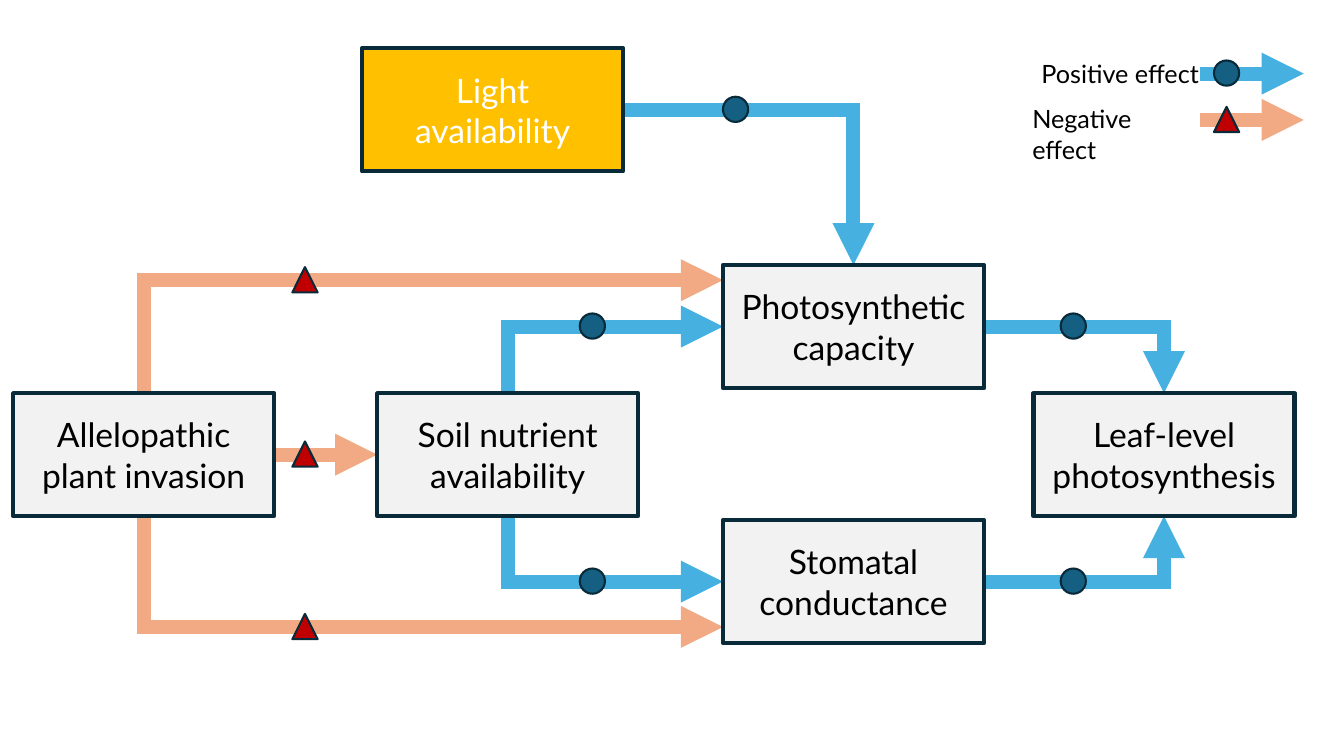
from dataclasses import dataclass
from lxml.etree import SubElement
from pptx import Presentation
from pptx.dml.color import RGBColor
from pptx.enum.shapes import MSO_CONNECTOR, MSO_SHAPE
from pptx.enum.text import MSO_ANCHOR, PP_ALIGN
from pptx.oxml.ns import qn
from pptx.util import Inches, Pt

TOP, LEFT, BOTTOM, RIGHT = range(4)


@dataclass
class Theme:
    """Colours, font and sizes of the diagram."""
    font: str = "Lato"
    ink: str = "000000"
    white: str = "FFFFFF"
    edge: str = "092A39"
    panel: str = "F2F2F2"
    sun: str = "FFC000"
    label: int = 24
    legend: int = 18
    arrow: int = 10
    border: float = 3
    rim: float = 1.5


@dataclass
class Effect:
    """Arrow colour, marker shape and marker fill of one effect."""
    line: str
    mark: MSO_SHAPE
    fill: str


GOOD = Effect("46B1E1", MSO_SHAPE.OVAL, "156082")
BAD = Effect("F2AA84", MSO_SHAPE.ISOSCELES_TRIANGLE, "C00000")


class Flow:
    """Draws the parts of a path diagram on one slide."""

    def __init__(self, slide, theme):
        """Keep the slide and its style."""
        self.slide, self.theme = slide, theme
        self.shapes = slide.shapes

    def shape(self, kind, x, y, wide, high, fill, rim):
        """Add a filled and outlined shape."""
        item = self.shapes.add_shape(kind, Inches(x), Inches(y), Inches(wide), Inches(high))
        item.shadow.inherit = False
        item.fill.solid()
        item.fill.fore_color.rgb = RGBColor.from_string(fill)
        item.line.color.rgb = RGBColor.from_string(self.theme.edge)
        item.line.width = Pt(rim)
        return item

    def words(self, frame, lines, size, tint, align):
        """Fill a text frame with one run per paragraph."""
        frame.word_wrap = True
        for i, line in enumerate(lines):
            para = frame.add_paragraph() if i else frame.paragraphs[0]
            para.alignment = align
            run = para.add_run()
            run.text = line
            run.font.name, run.font.size = self.theme.font, Pt(size)
            run.font.color.rgb = RGBColor.from_string(tint)

    def box(self, x, y, *lines, fill=None, tint=None):
        """Add a labelled box."""
        look = self.theme
        item = self.shape(MSO_SHAPE.RECTANGLE, x, y, 2.59, 1.22, fill or look.panel, look.border)
        item.text_frame.vertical_anchor = MSO_ANCHOR.MIDDLE
        self.words(item.text_frame, lines, look.label, tint or look.ink, PP_ALIGN.CENTER)
        return item

    def note(self, x, y, wide, text):
        """Add a legend label."""
        area = self.shapes.add_textbox(Inches(x), Inches(y), Inches(wide), Inches(0.4))
        self.words(area.text_frame, [text], self.theme.legend, self.theme.ink, PP_ALIGN.LEFT)

    def spot(self, end):
        """Return the point of a (box, side) pair or of an (x, y) pair in inches."""
        item, side = end
        if isinstance(item, (int, float)):
            return Inches(item), Inches(side)
        across = {LEFT: 0, RIGHT: item.width}.get(side, item.width // 2)
        down = {TOP: 0, BOTTOM: item.height}.get(side, item.height // 2)
        return item.left + across, item.top + down

    def link(self, effect, start, end, mark):
        """Add an arrow behind the boxes and its marker at the given x."""
        (x1, y1), (x2, y2) = self.spot(start), self.spot(end)
        bent = x1 != x2 and y1 != y2
        kind = MSO_CONNECTOR.ELBOW if bent else MSO_CONNECTOR.STRAIGHT
        wire = self.shapes.add_connector(kind, x1, y1, x2, y2)
        wire.line.color.rgb = RGBColor.from_string(effect.line)
        wire.line.width = Pt(self.theme.arrow)
        if hasattr(start[0], "shape_id"):
            wire.begin_connect(*start)
        if hasattr(end[0], "shape_id"):
            wire.end_connect(*end)
        props = wire._element.spPr
        edge = props.find(qn("a:ln"))
        SubElement(edge, qn("a:miter"), lim="800000")
        SubElement(edge, qn("a:tailEnd"), type="triangle")
        SubElement(props, qn("a:effectLst"))
        level = y1
        if bent:
            props.find(qn("a:prstGeom")).set("prst", "bentConnector2")
            if start[1] in (TOP, BOTTOM):
                level = y2
                self.turn(wire, x1, y1, x2, y2)
        self.shapes._spTree.insert(2, wire._element)
        self.shape(effect.mark, mark, level / Inches(1) - 0.13, 0.25, 0.25,
                   effect.fill, self.theme.rim)

    def turn(self, wire, x1, y1, x2, y2):
        """Rotate a bent arrow so that it leaves vertically."""
        wide, high = abs(y2 - y1), x2 - x1
        wire.left, wire.top = (x1 + x2 - wide) // 2, (y1 + y2 - high) // 2
        wire.width, wire.height = wide, high
        rising = y2 < y1
        frame = wire._element.spPr.find(qn("a:xfrm"))
        frame.set("rot", str((90 if rising else 270) * 60000))
        frame.set("flipH", "1")
        frame.set("flipV", "1" if rising else "0")


def main():
    """Build and save the slide."""
    deck = Presentation()
    deck.slide_width, deck.slide_height = Inches(13.33), Inches(7.5)
    theme = Theme()
    flow = Flow(deck.slides.add_slide(deck.slide_layouts[6]), theme)

    soil = flow.box(3.74, 3.9, "Soil nutrient availability")
    photo = flow.box(7.17, 2.63, "Photosynthetic capacity")
    stoma = flow.box(7.17, 5.16, "Stomatal conductance")
    leaf = flow.box(10.25, 3.9, "Leaf-level photosynthesis")
    light = flow.box(3.59, 0.48, "Light", "availability", fill=theme.sun, tint=theme.white)
    plant = flow.box(0.13, 3.9, "Allelopathic plant invasion")

    for effect, start, end, mark in (
        (GOOD, (light, RIGHT), (photo, TOP), 7.17),
        (GOOD, (soil, TOP), (photo, LEFT), 5.75),
        (GOOD, (soil, BOTTOM), (stoma, LEFT), 5.75),
        (GOOD, (photo, RIGHT), (leaf, TOP), 10.52),
        (GOOD, (stoma, RIGHT), (leaf, BOTTOM), 10.52),
        (BAD, (plant, RIGHT), (soil, LEFT), 2.9),
        (BAD, (plant, TOP), (7.17, 2.78), 2.9),
        (BAD, (plant, BOTTOM), (7.17, 6.22), 2.9),
        (GOOD, (11.9, 0.73), (12.93, 0.73), 12.04),
        (BAD, (11.9, 1.19), (12.93, 1.19), 12.04),
    ):
        flow.link(effect, start, end, mark)

    flow.note(10.23, 0.53, 1.78, "Positive effect")
    flow.note(10.14, 0.98, 1.83, "Negative effect")
    deck.save("out.pptx")


if __name__ == "__main__":
    main()
